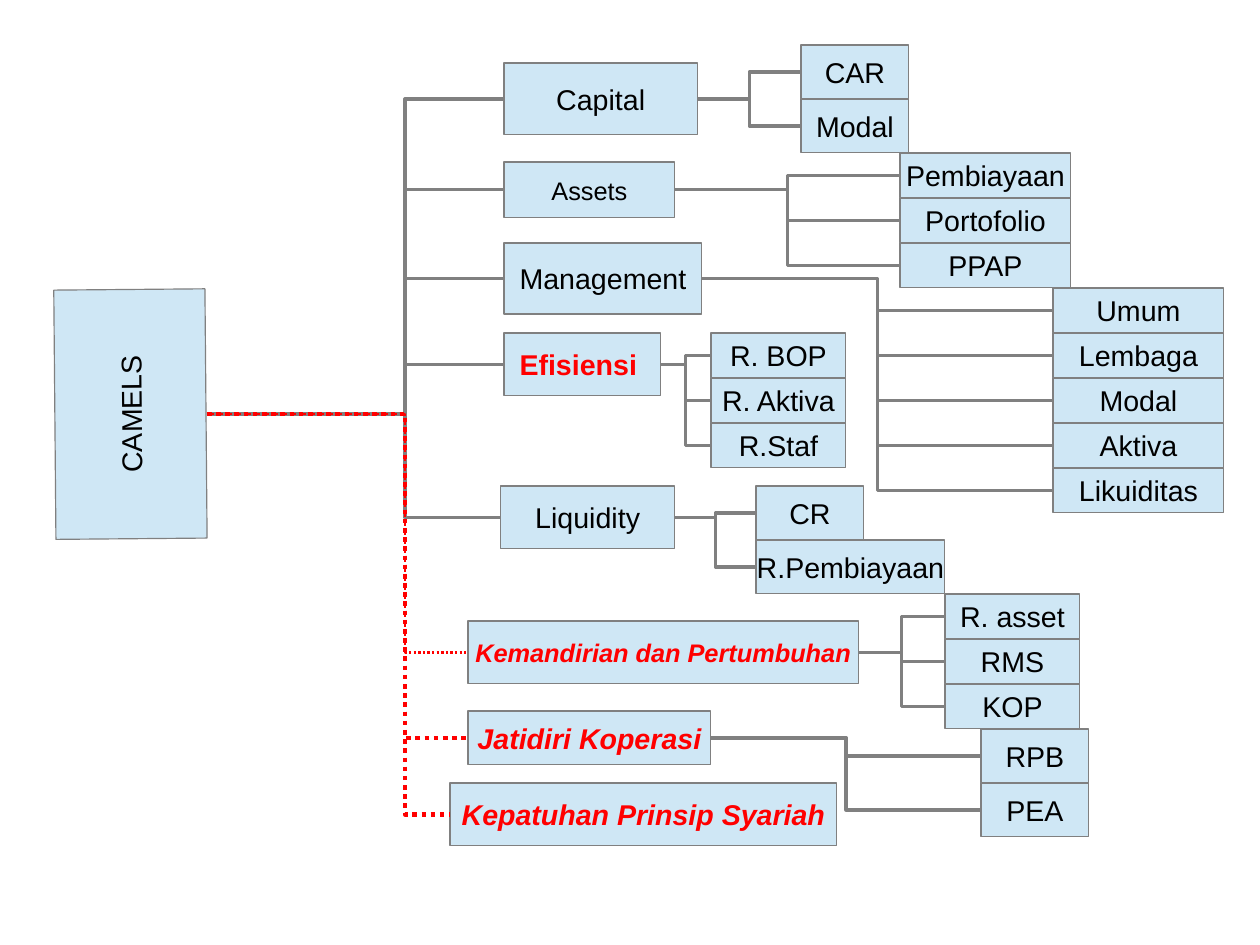
from dataclasses import dataclass

from lxml import etree
from pptx import Presentation
from pptx.dml.color import RGBColor
from pptx.enum.dml import MSO_LINE
from pptx.enum.shapes import MSO_CONNECTOR, MSO_SHAPE
from pptx.enum.text import MSO_ANCHOR, PP_ALIGN
from pptx.oxml.ns import qn
from pptx.shapes.autoshape import Shape
from pptx.shapes.connector import Connector
from pptx.shapes.shapetree import SlideShapes
from pptx.util import Cm, Pt

RECT, ELBOW = MSO_SHAPE.RECTANGLE, MSO_CONNECTOR.ELBOW
MIDDLE, CENTER = MSO_ANCHOR.MIDDLE, PP_ALIGN.CENTER
DOTTED = MSO_LINE.ROUND_DOT
LEFT, BOTTOM, RIGHT = 1, 2, 3

COLORS = {"box": "CFE7F5", "line": "808080", "text": "000000", "accent": "FF0000"}
TEXT = {
    "plain": {"bold": False, "italic": False},
    "bold": {"bold": True, "italic": False},
    "bold_italic": {"bold": True, "italic": True},
}
FRAME = {
    "vertical_anchor": MIDDLE, "word_wrap": False,
    "margin_left": Cm(0.25), "margin_right": Cm(0.25),
    "margin_top": Cm(0.13), "margin_bottom": Cm(0.13),
}
TRUNK_X = 9.0  # vertical line shared by all aspects
ROOT_X, ROOT_Y = 4.6, 9.2  # where the trunk leaves the root box


@dataclass
class Box:
    label: str
    left: float
    top: float
    width: float
    height: float
    size: int = 18
    style: str = "plain"
    color: str = "text"
    dots: float = 0  # width of a dotted trunk line, 0 for a thin solid one


@dataclass
class Stack:
    """Ratios of one aspect, one box below the other."""
    parent: str
    left: float
    top: float
    height: float
    widths: list[float]
    labels: list[str]

    def boxes(self) -> list[Box]:
        return [Box(label, self.left, self.top + i * self.height, width, self.height)
                for i, (label, width) in enumerate(zip(self.labels, self.widths))]


ROOT = Box("CAMELS", 0.13, 7.52, 5.54, 3.36)
ASPECTS = [
    Box("Capital", 11.2, 1.4, 4.3, 1.6),
    Box("Assets", 11.2, 3.6, 3.8, 1.24, 16),
    Box("Management", 11.2, 5.4, 4.4, 1.58),
    Box("Efisiensi ", 11.2, 7.4, 3.48, 1.4, 18, "bold", "accent"),
    Box("Liquidity", 11.12, 10.8, 3.88, 1.4),
    Box("Kemandirian dan Pertumbuhan", 10.4, 13.8, 8.68, 1.4, 16, "bold_italic", "accent", 1.45),
    Box("Jatidiri Koperasi", 10.4, 15.8, 5.4, 1.2, 18, "bold_italic", "accent", 2.89),
    Box("Kepatuhan Prinsip Syariah", 10, 17.4, 8.6, 1.4, 18, "bold_italic", "accent", 2.89),
]
STACKS = [
    Stack("Capital", 17.8, 1, 1.2, [2.4] * 2, ["CAR", "Modal"]),
    Stack("Assets", 20, 3.4, 1, [3.8] * 3, ["Pembiayaan", "Portofolio", "PPAP"]),
    Stack("Management", 23.4, 6.4, 1, [3.8] * 5,
          ["Umum", "Lembaga", "Modal", "Aktiva", "Likuiditas"]),
    Stack("Efisiensi ", 15.8, 7.4, 1, [3] * 3, ["R. BOP", "R. Aktiva", "R.Staf"]),
    Stack("Liquidity", 16.8, 10.8, 1.2, [2.4, 4.2], ["CR", "R.Pembiayaan"]),
    Stack("Kemandirian dan Pertumbuhan", 21, 13.2, 1, [3] * 3, ["R. asset", "RMS", "KOP"]),
    Stack("Jatidiri Koperasi", 21.8, 16.2, 1.2, [2.4] * 2, ["RPB", "PEA"]),
]


def rgb(name: str) -> RGBColor:
    return RGBColor.from_string(COLORS[name])


def add_box(shapes: SlideShapes, box: Box) -> Shape:
    sp = shapes.add_shape(RECT, Cm(box.left), Cm(box.top), Cm(box.width), Cm(box.height))
    sp.shadow.inherit = False
    sp.fill.solid()
    sp.fill.fore_color.rgb = rgb("box")
    sp.line.color.rgb = rgb("line")
    sp.line.width = 0
    tf = sp.text_frame
    for name, value in FRAME.items():
        setattr(tf, name, value)
    p = tf.paragraphs[0]
    p.alignment = CENTER
    r = p.add_run()
    r.text = box.label
    font = {"name": "Arial", "size": Pt(box.size), **TEXT[box.style]}
    for name, value in font.items():
        setattr(r.font, name, value)
    r.font.color.rgb = rgb(box.color)
    return sp


def add_elbow(shapes: SlideShapes, start: Shape, side: int, end: Shape,
              dots: float = 0) -> Connector:
    cx = shapes.add_connector(ELBOW, 0, 0, 0, 0)
    cx.begin_connect(start, side)
    cx.end_connect(end, LEFT)
    cx.line.color.rgb = rgb("accent" if dots else "line")
    cx.line.width = Pt(dots)
    if dots:
        cx.line.dash_style = DOTTED
    etree.SubElement(cx._element.spPr, qn("a:effectLst"))
    return cx


def set_bend(cx: Connector, x: float) -> None:
    """Put the vertical part of an elbow at x."""
    ratio = (Cm(x) - cx.begin_x) / (cx.end_x - cx.begin_x)
    geom = cx._element.spPr.find(qn("a:prstGeom"))
    guides = geom.find(qn("a:avLst"))
    if guides is None:
        guides = etree.SubElement(geom, qn("a:avLst"))
    etree.SubElement(guides, qn("a:gd"), name="adj1", fmla=f"val {round(ratio * 100000)}")


def main() -> None:
    prs = Presentation()
    prs.slide_width, prs.slide_height = Cm(28), Cm(21)
    shapes = prs.slides.add_slide(prs.slide_layouts[6]).shapes

    # Root and aspects
    root = add_box(shapes, ROOT)
    root.rotation = 269.5
    aspects = {box.label: add_box(shapes, box) for box in ASPECTS}

    # Trunk: the turned root box has its bottom side on the right
    for box in ASPECTS:
        cx = add_elbow(shapes, root, BOTTOM, aspects[box.label], box.dots)
        cx.begin_x, cx.begin_y = Cm(ROOT_X), Cm(ROOT_Y)
        set_bend(cx, TRUNK_X)

    # Ratios of each aspect
    for stack in STACKS:
        for box in stack.boxes():
            add_elbow(shapes, aspects[stack.parent], RIGHT, add_box(shapes, box))

    prs.save("out.pptx")


if __name__ == "__main__":
    main()
